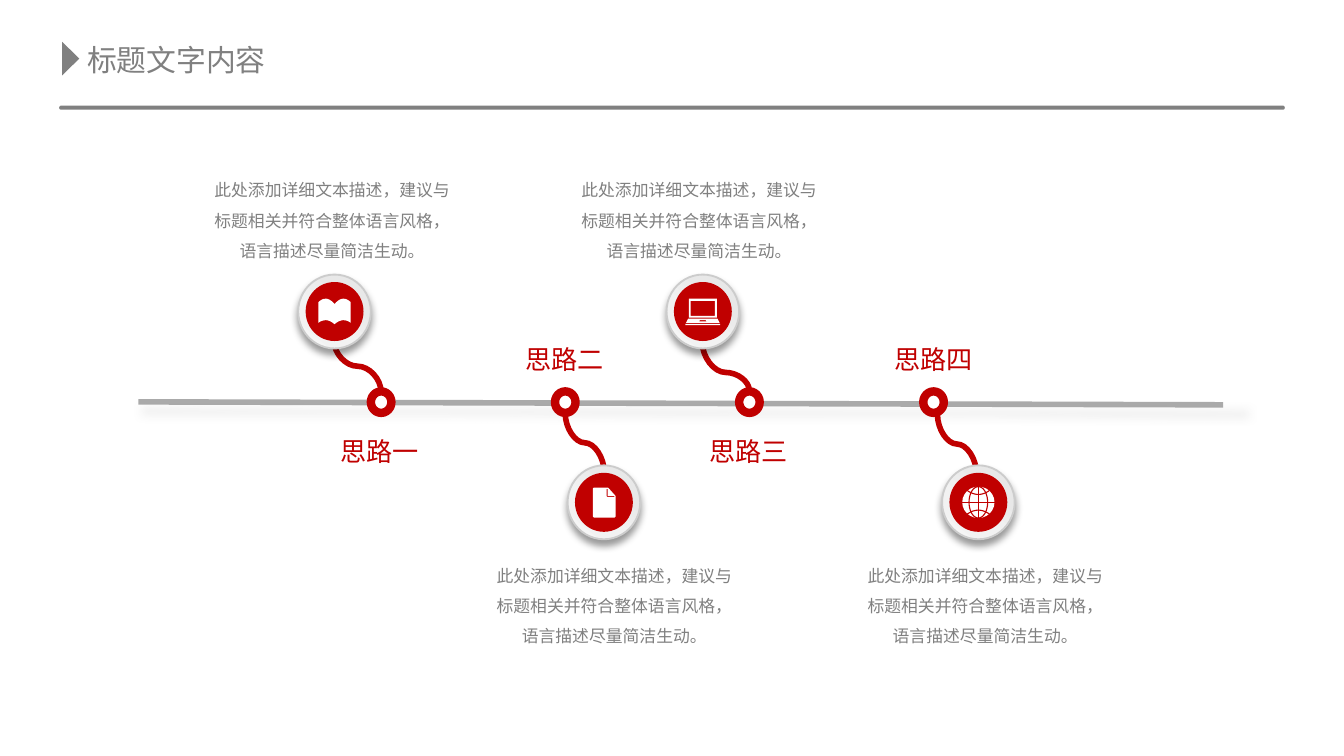
"""Build a timeline slide with four ideas."""
import math

import pptx
import pptx.dml.color
import pptx.enum.shapes
import pptx.enum.text
import pptx.oxml
import pptx.oxml.ns
import pptx.util

Pt = pptx.util.Pt
KIND = pptx.enum.shapes.MSO_SHAPE
LINK = pptx.enum.shapes.MSO_CONNECTOR
HOLD = pptx.enum.text.MSO_ANCHOR
SIDE = pptx.enum.text.PP_ALIGN
RED, GREY, WHITE = "C00000", "808080", "FFFFFF"
NOTO = "Noto Sans CJK SC"
NOTE = "此处添加详细文本描述，建议与标题相关并符合整体语言风格，语言描述尽量简洁生动。"
SPACE = 'xmlns:a="http://schemas.openxmlformats.org/drawingml/2006/main"'


def tint(code):
    """Return the colour for a hex string."""
    return pptx.dml.color.RGBColor.from_string(code)


def apply(item, looks):
    """Set each attribute in looks on the item."""
    for name, value in looks.items():
        setattr(item, name, value)


def node(tag, inner="", **attrs):
    """Return a drawing element with attributes and inner markup."""
    pairs = "".join(f' {key}="{val}"' for key, val in attrs.items())
    return pptx.oxml.parse_xml(f"<a:{tag} {SPACE}{pairs}>{inner}</a:{tag}>")


def glow(code, alpha, **attrs):
    """Return an outer shadow element."""
    paint = f'<a:srgbClr val="{code}"><a:alpha val="{alpha * 1000}"/></a:srgbClr>'
    return node("outerShdw", paint, rotWithShape=0, **attrs)


def paint(shape, fill=None, line=None, width=1):
    """Set fill and line, with no shadow."""
    shape.shadow.inherit = False
    if fill:
        shape.fill.solid()
        shape.fill.fore_color.rgb = tint(fill)
    else:
        shape.fill.background()
    if line:
        stroke(shape, line, width)
    else:
        shape.line.fill.background()


def stroke(shape, code, width):
    """Set line colour and width."""
    shape.line.color.rgb = tint(code)
    shape.line.width = Pt(width)


def block(shapes, kind, box, **looks):
    """Add a preset shape."""
    shape = shapes.add_shape(kind, *map(Pt, box))
    paint(shape, **looks)
    return shape


def link(shapes, kind, box, code, width):
    """Add a connector across a box."""
    left, top, wide, high = box
    wire = shapes.add_connector(kind, *map(Pt, (left, top, left + wide, top + high)))
    stroke(wire, code, width)
    cast = node("effectLst")
    wire._element.spPr.append(cast)
    return wire, cast


def write(shapes, box, text, size, code, face=NOTO, frame=None, para=None):
    """Add a text box with one run."""
    body = shapes.add_textbox(*map(Pt, box)).text_frame
    apply(body, {"word_wrap": True, **(frame or {})})
    line = body.paragraphs[0]
    apply(line, para or {})
    run = line.add_run()
    run.text = text
    apply(run.font, {"size": Pt(size), "name": face})
    run.font.color.rgb = tint(code)
    run._r.get_or_add_rPr().append(node("ea", typeface=face))


def trace(shapes, mid, paths, closed=True, **looks):
    """Add a freeform from paths around a middle point."""
    spots = [[((mid[0] + x) * 100, (mid[1] + y) * 100) for x, y in path] for path in paths]
    pen = shapes.build_freeform(*spots[0][0], scale=127)
    for turn, path in enumerate(spots):
        if turn:
            pen.move_to(*path[0])
        pen.add_line_segments(path[1:], close=closed)
    paint(pen.convert_to_shape(), **looks)


def rect(left, top, right, base):
    """Return the corners of a rectangle."""
    return [(left, top), (right, top), (right, base), (left, base)]


def book(shapes, mid):
    """Draw an open book."""
    steps = [8.64 * i / 12 for i in range(-12, 13)]
    bend = [((abs(x) - 4.8) / 4.8) ** 2 for x in steps]
    top = [(x, -6.84 + 2.88 * b) for x, b in zip(steps, bend)]
    base = [(x, 4.68 + 2.16 * b) for x, b in zip(steps, bend)]
    trace(shapes, mid, [top + base[::-1]], fill=WHITE)


def page(shapes, mid):
    """Draw a sheet with a folded corner."""
    sheet = [(-5.4, -7.9), (2.2, -7.9), (6.2, -3.4), (6.2, 7.7), (5.7, 8.2),
             (-5.4, 8.2), (-5.9, 7.7), (-5.9, -7.4)]
    fold = [(1.4, -7.2), (2, -7.2), (2, -3.3), (5.6, -3.3), (5.6, -2.7), (1.9, -2.7), (1.4, -3.2)]
    trace(shapes, mid, [sheet, fold], fill=WHITE)


def laptop(shapes, mid):
    """Draw a laptop."""
    deck = [(-7.9, 3.9), (7.9, 3.9), (9, 6.1), (-9, 6.1)]
    pad = [(-1.5, 4.6), (1.5, 4.6), (2.1, 5.4), (-2.1, 5.4)]
    trace(shapes, mid, [rect(-7.5, -6.9, 7.5, 3.3), rect(-6.5, -5.6, 6.5, 2.4),
                        deck, pad, rect(-9.3, 6.7, 9.3, 7.4)], fill=WHITE)


def globe(shapes, mid):
    """Draw a globe with grid lines."""
    wide, high = 8.64, 8.4
    block(shapes, KIND.OVAL, (mid[0] - wide, mid[1] - high, 2 * wide, 2 * high), fill=WHITE)
    turns = [math.tau * i / 36 for i in range(37)]
    oval = [(5 * math.cos(t), high * math.sin(t)) for t in turns]
    steps = [i - 6 for i in range(13)]
    arcs = [[(x, way * (4.2 + 0.06 * x * x)) for x in steps] for way in (-1, 1)]
    cross = [[(-wide, 0), (wide, 0)], [(0, -high), (0, high)]]
    trace(shapes, mid, [oval, *arcs, *cross], closed=False, line=RED, width=0.6)


def badge(shapes, left, top, icon):
    """Add a round badge with its icon."""
    ring = block(shapes, KIND.OVAL, (left, top, 38.9, 39.6), line="CCCCCC")
    stops = ((0, "E4E4E4"), (30, "E8E8E8"), (61, "F2F2F2"), (100, "F5F5F5"))
    marks = "".join(f'<a:gs pos="{p * 1000}"><a:srgbClr val="{c}"/></a:gs>' for p, c in stops)
    fade = node("gradFill", f'<a:gsLst>{marks}</a:gsLst><a:lin ang="{130 * 60000}" scaled="0"/>')
    frame = ring._element.spPr
    frame.replace(frame.find(pptx.oxml.ns.qn("a:noFill")), fade)
    cast = glow("000000", 40, blurRad=Pt(4), dist=Pt(3), dir=90 * 60000)
    frame.find(pptx.oxml.ns.qn("a:effectLst")).append(cast)
    block(shapes, KIND.OVAL, (left + 3.95, top + 4, 31, 31.6), fill=RED)
    icon(shapes, (left + 19.45, top + 19.8))


def curve(shapes, box, flip, bend):
    """Add a curved stem turned by three quarters."""
    wire, _ = link(shapes, LINK.CURVE, box, RED, 3)
    frame = wire._element.spPr
    apply_turn = {"rot": str(270 * 60000), flip: "1"}
    for name, value in apply_turn.items():
        frame.find(pptx.oxml.ns.qn("a:xfrm")).set(name, value)
    guide = node("gd", name="adj1", fmla=f"val {int(bend * 100000)}")
    frame.find(".//" + pptx.oxml.ns.qn("a:avLst")).append(guide)


def head(shapes):
    """Add the title with its marker and rule."""
    write(shapes, (39.6, 18.9, 119.5, 26.6), "标题文字内容", 16, GREY, frame={"word_wrap": False})
    block(shapes, KIND.ISOSCELES_TRIANGLE, (28.9, 26.8, 18, 9.2), fill=GREY).rotation = 90
    rule = block(shapes, KIND.ROUNDED_RECTANGLE, (31.7, 56.6, 656.6, 2.2), fill=GREY)
    rule.adjustments[0] = 0.5


def axis(shapes):
    """Add the time line."""
    wire, cast = link(shapes, LINK.STRAIGHT, (74.2, 215.3, 581, 1.6), GREY, 3)
    shade = wire._element.spPr.find(".//" + pptx.oxml.ns.qn("a:srgbClr"))
    shade.append(node("alpha", val=66000))
    cast.append(glow("BFBFBF", 43, blurRad=Pt(5), sx=102000, sy=102000, algn="ctr"))


def main():
    """Build and save the slide."""
    deck = pptx.Presentation()
    apply(deck, {"slide_width": Pt(720), "slide_height": Pt(405)})
    shapes = deck.slides.add_slide(deck.slide_layouts[6]).shapes
    head(shapes)
    axis(shapes)
    ideas = (
        ("思路一", True, 111.6, 159.8, (177.8, 183.6, 27.4, 25.2), 0.5, book),
        ("思路二", False, 262.8, 304.1, (297.4, 226.8, 31.7, 20.9), 0.5, page),
        ("思路三", True, 308.2, 357.1, (375.8, 183.6, 25.9, 25.2), 0.63, laptop),
        ("思路四", False, 461.5, 504.7, (496.8, 227.5, 31.7, 20.9), 0.5, globe),
    )
    edges = ("margin_left", "margin_right", "margin_top", "margin_bottom")
    flush = {"vertical_anchor": HOLD.BOTTOM, **dict.fromkeys(edges, 0)}
    center = {"alignment": SIDE.CENTER}
    for turn, (name, high, note, left, stem, bend, icon) in enumerate(ideas):
        write(shapes, (144 + 98.9 * turn, 226.8 if high else 177.8, 118.8, 29.5), name, 14, RED,
              frame={"vertical_anchor": HOLD.MIDDLE}, para=center)
        write(shapes, (note, 90 if high else 296.6, 132.5, 49.7), NOTE, 9, GREY,
              "Roboto Condensed", flush, {**center, "line_spacing": 1.5})
        group = shapes.add_group_shape().shapes
        block(group, KIND.OVAL, (198.7 + 98.65 * turn, 209.7, 11, 11.5), fill=WHITE, line=RED, width=4.5)
        curve(group, stem, "flipH" if high else "flipV", bend)
        badge(group, left, 147.1 if high else 249.3, icon)
    deck.save("out.pptx")


if __name__ == "__main__":
    main()
